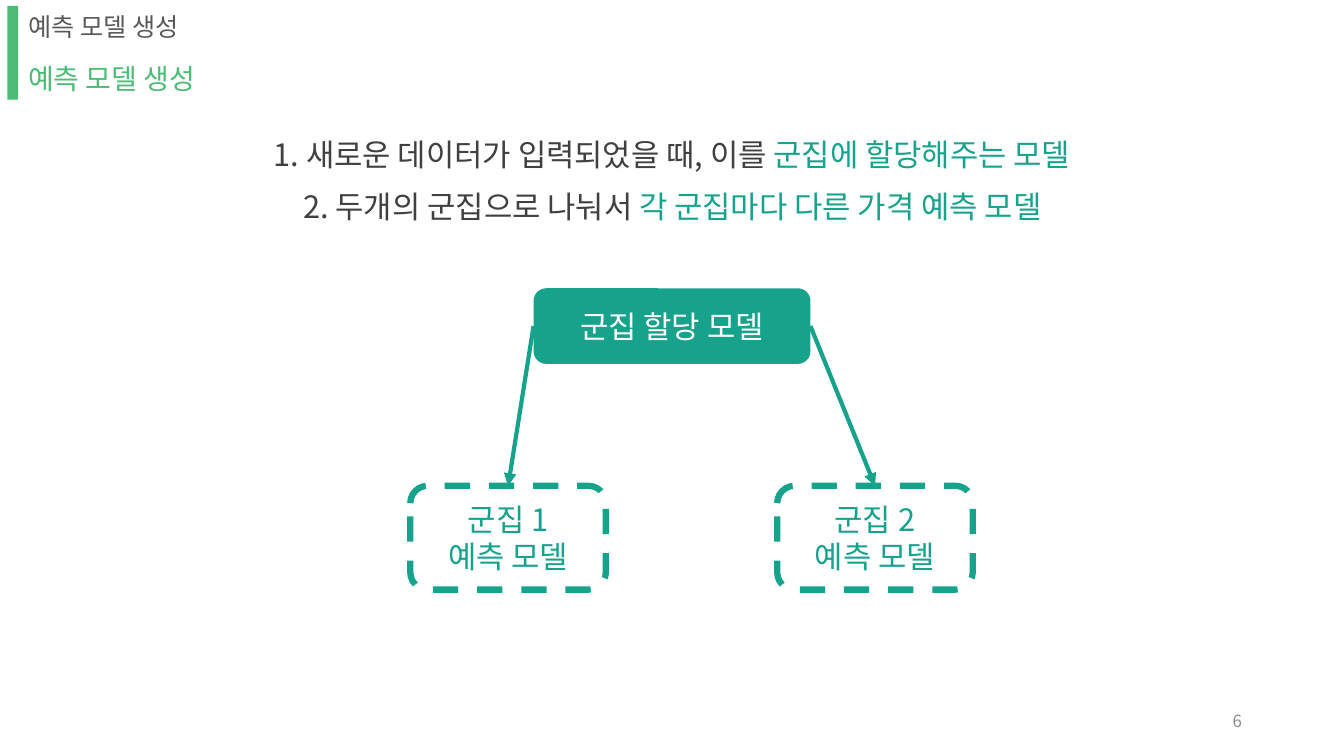
"""Build the slide on the two steps of the prediction model."""
from lxml.etree import SubElement
from pptx import Presentation
from pptx.dml.color import RGBColor
from pptx.enum.dml import MSO_LINE
from pptx.enum.shapes import MSO_CONNECTOR, MSO_SHAPE
from pptx.enum.text import MSO_ANCHOR, PP_ALIGN
from pptx.oxml.ns import qn
from pptx.util import Inches, Pt

FACE = "Noto Sans CJK KR"
TEAL = RGBColor(0x16, 0xA2, 0x8B)
GREEN = RGBColor(0x4C, 0xBC, 0x77)
DARK = RGBColor(0x40, 0x40, 0x40)
GRAY = RGBColor(0x59, 0x59, 0x59)
PALE = RGBColor(0x8C, 0x8C, 0x8C)
WHITE = RGBColor(0xFF, 0xFF, 0xFF)
WIDE, HIGH = Inches(13.33), Inches(7.5)


def place(left, top, width, height):
    """Turn percent shares of the slide into lengths."""
    return [int(share * side / 100) for share, side in
            ((left, WIDE), (top, HIGH), (width, WIDE), (height, HIGH))]


def write(frame, lines, size, align, anchor=MSO_ANCHOR.TOP, space=None):
    """Fill a frame with lines, each a list of (text, colour) runs."""
    frame.word_wrap = True
    frame.vertical_anchor = anchor
    for i, line in enumerate(lines):
        para = frame.add_paragraph() if i else frame.paragraphs[0]
        para.alignment = align
        para.line_spacing = space
        font = para.font
        font.size, font.name = Pt(size), FACE
        SubElement(font._element, qn("a:ea")).set("typeface", FACE)
        for text, color in line:
            run = para.add_run()
            run.text = text
            run.font.color.rgb = color


def label(slide, spot, runs, size, align=PP_ALIGN.LEFT, **style):
    """Add a text box of one line."""
    box = slide.shapes.add_textbox(*place(*spot))
    write(box.text_frame, [runs], size, align, **style)


def block(slide, kind, spot, fill=None, edge=None, lines=(), ink=TEAL):
    """Add a filled or dashed shape with centred lines."""
    shape = slide.shapes.add_shape(kind, *place(*spot))
    shape.shadow.inherit = False
    if fill is None:
        shape.fill.background()
    else:
        shape.fill.solid()
        shape.fill.fore_color.rgb = fill
    if edge is None:
        shape.line.fill.background()
    else:
        shape.line.color.rgb = edge
        shape.line.width = Pt(4.5)
        shape.line.dash_style = MSO_LINE.DASH
    if lines:
        write(shape.text_frame, [[(line, ink)] for line in lines], 22,
              PP_ALIGN.CENTER, MSO_ANCHOR.MIDDLE)
    return shape


def arrow(slide, child, hub, side):
    """Join the top of a child to a side of the hub, pointing at the child."""
    line = slide.shapes.add_connector(MSO_CONNECTOR.STRAIGHT, 0, 0, 0, 0)
    line.begin_connect(child, 0)
    line.end_connect(hub, side)
    line.line.color.rgb = TEAL
    line.line.width = Pt(3)
    SubElement(line.line._get_or_add_ln(), qn("a:headEnd")).set("type", "triangle")
    SubElement(line._element.spPr, qn("a:effectLst"))


def main():
    """Build and save the slide."""
    deck = Presentation()
    deck.slide_width, deck.slide_height = WIDE, HIGH
    slide = deck.slides.add_slide(deck.slide_layouts[6])

    title = "예측 모델 생성"
    label(slide, (1.35, 0.8, 38, 5.33), [(title, GRAY)], 18)
    block(slide, MSO_SHAPE.RECTANGLE, (0.55, 0.8, 0.8, 12.4), GREEN)
    label(slide, (1.35, 7.47, 38, 5.87), [(title, GREEN)], 20)
    label(slide, (70.65, 92.67, 22.5, 5.33), [("6", PALE)], 12,
          PP_ALIGN.RIGHT, anchor=MSO_ANCHOR.MIDDLE)

    steps = (
        ((16.65, 14.8, 66.7, 8.13), "1. 새로운 데이터가 입력되었을 때, 이를 ",
         "군집에 할당해주는 모델"),
        ((16.05, 21.73, 67.95, 8.13), "2. 두개의 군집으로 나눠서 ",
         "각 군집마다 다른 가격 예측 모델"),
    )
    for spot, plain, key in steps:
        label(slide, spot, [(plain, DARK), (key, TEAL)], 22,
              PP_ALIGN.CENTER, space=1.5)

    hub = block(slide, MSO_SHAPE.ROUNDED_RECTANGLE, (39.7, 38.13, 20.6, 10),
                TEAL, lines=["군집 할당 모델"], ink=WHITE)
    for i, side in enumerate((1, 3)):
        child = block(slide, MSO_SHAPE.ROUNDED_RECTANGLE,
                      (30.53 + 27.3 * i, 64.27, 14.55, 13.73), edge=TEAL,
                      lines=[f"군집 {i + 1}", "예측 모델"])
        arrow(slide, child, hub, side)
    deck.save("out.pptx")


if __name__ == "__main__":
    main()
